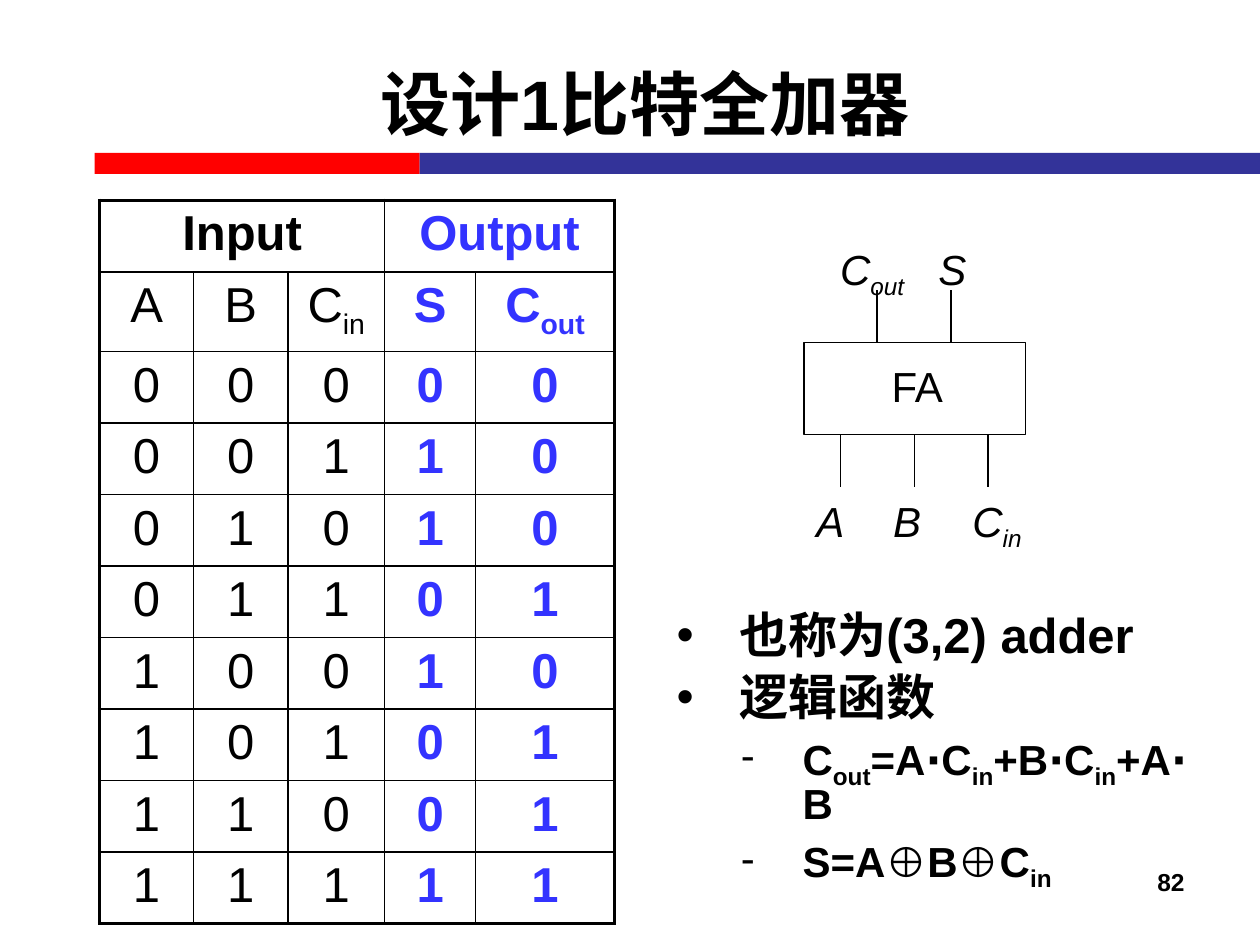
from dataclasses import dataclass

from lxml.etree import SubElement as add_element
from pptx import Presentation
from pptx.dml.color import RGBColor
from pptx.enum.shapes import MSO_CONNECTOR as Connector, MSO_SHAPE as Preset
from pptx.enum.text import MSO_ANCHOR as Anchor, MSO_AUTO_SIZE as AutoSize, PP_ALIGN as Align
from pptx.oxml import parse_xml
from pptx.oxml.ns import nsdecls, qn
from pptx.util import Pt


@dataclass(frozen=True)
class Theme:
    font: str = "Arial"
    black: RGBColor = RGBColor(0, 0, 0)
    red: RGBColor = RGBColor(0xFF, 0, 0)
    navy: RGBColor = RGBColor(0x33, 0x33, 0x99)
    blue: RGBColor = RGBColor(0x33, 0x33, 0xFF)
    title: float = 40
    large: float = 28
    medium: float = 24
    small: float = 14
    inner_border: float = 1
    outer_border: float = 2.25
    wire: float = 0.75


@dataclass(frozen=True)
class Style:
    size: float
    color: RGBColor
    bold: bool = False
    italic: bool = False


@dataclass(frozen=True)
class Box:
    left: float
    top: float
    width: float
    height: float

    def lengths(self) -> tuple:
        return Pt(self.left), Pt(self.top), Pt(self.width), Pt(self.height)


@dataclass(frozen=True)
class Label:
    text: str
    box: Box
    style: Style
    align: Align = Align.LEFT


@dataclass(frozen=True)
class Bullet:
    text: str
    level: int
    mark: str
    size: float
    left: float
    hanging: float
    before: float


THEME = Theme()
SIGNAL = Style(THEME.medium, THEME.black, italic=True)
INPUT = Style(THEME.large, THEME.black)
OUTPUT = Style(THEME.large, THEME.blue, bold=True)
HEADING = Style(THEME.large, THEME.black, bold=True)

ADDER = Box(459.4, 195.8, 126.7, 52.6)
PIN_STEP = 42.2
PIN_LENGTH = 30
INPUT_PINS = [480.2 + PIN_STEP * index for index in range(3)]
OUTPUT_PINS = [501.2 + PIN_STEP * index for index in range(2)]

LABELS = [
    Label("C_out", Box(473, 135.4, 85, 36), SIGNAL),
    Label("S", Box(529.2, 135.4, 43.2, 36), SIGNAL),
    Label("A", Box(459.4, 279.4, 56.2, 36), SIGNAL),
    Label("B", Box(503.3, 279.4, 61.2, 36), SIGNAL),
    Label("C_in", Box(548.6, 279.4, 51.1, 36), SIGNAL),
    Label("FA", Box(481.7, 202.3, 85, 36), Style(THEME.medium, THEME.black), Align.CENTER),
    Label("82", Box(516.2, 491.8, 167.8, 37.4), Style(THEME.small, THEME.black, bold=True), Align.RIGHT),
]

BULLETS = [
    Bullet("也称为(3,2) adder", 0, "•", THEME.large, 36, 36, 0),
    Bullet("逻辑函数", 0, "•", THEME.large, 36, 36, 7),
    Bullet("C_out=A⋅C_in+B⋅C_in+A⋅B", 1, "-", THEME.medium, 72, 35.3, 6),
    Bullet("S=A⊕B⊕C_in", 1, "-", THEME.medium, 72, 35.3, 6),
]


def split_subscripts(text: str) -> list[tuple[str, bool]]:
    first, *rest = text.split("_")
    parts = [(first, False)]
    for piece in rest:
        name = "out" if piece.startswith("out") else "in"
        parts += [(name, True), (piece[len(name):], False)]
    return [part for part in parts if part[0]]


def add_text(paragraph, text: str, style: Style) -> None:
    for part, lowered in split_subscripts(text):
        run = paragraph.add_run()
        run.text = part
        font = run.font
        font.name, font.size = THEME.font, Pt(style.size)
        font.bold, font.italic = style.bold, style.italic
        font.color.rgb = style.color
        if lowered:
            run._r.get_or_add_rPr().set("baseline", "-25000")


def place(shape, box: Box) -> None:
    shape.left, shape.top, shape.width, shape.height = box.lengths()


def draw_rectangle(slide, box: Box, fill: RGBColor | None) -> None:
    shape = slide.shapes.add_shape(Preset.RECTANGLE, *box.lengths())
    shape.shadow.inherit = False
    if fill is None:
        shape.fill.background()
        shape.line.color.rgb = THEME.black
        shape.line.width = Pt(THEME.wire)
    else:
        shape.fill.solid()
        shape.fill.fore_color.rgb = fill
        shape.line.fill.background()


def draw_pin(slide, x: float, top: float) -> None:
    pin = slide.shapes.add_connector(Connector.STRAIGHT, Pt(x), Pt(top), Pt(x), Pt(top + PIN_LENGTH))
    pin.line.color.rgb = THEME.black
    pin.line.width = Pt(THEME.wire)
    add_element(pin._element.spPr, qn("a:effectLst"))


def draw_label(slide, label: Label) -> None:
    frame = slide.shapes.add_textbox(*label.box.lengths()).text_frame
    frame.word_wrap = True
    paragraph = frame.paragraphs[0]
    paragraph.alignment = label.align
    add_text(paragraph, label.text, label.style)


def write_title(slide, text: str) -> None:
    title = slide.shapes.title
    place(title, Box(44.6, 13.7, 648, 90))
    frame = title.text_frame
    frame.auto_size = AutoSize.NONE
    frame.vertical_anchor = Anchor.MIDDLE
    frame.paragraphs[0].alignment = Align.CENTER
    add_text(frame.paragraphs[0], text, Style(THEME.title, THEME.black, bold=True))


def write_bullets(body, bullets: list[Bullet]) -> None:
    place(body, Box(379.4, 347, 323.3, 137.5))
    frame = body.text_frame
    frame.auto_size = AutoSize.NONE
    frame.vertical_anchor = Anchor.TOP
    for index, bullet in enumerate(bullets):
        paragraph = frame.add_paragraph() if index else frame.paragraphs[0]
        paragraph.level = bullet.level
        paragraph.line_spacing = 0.85
        paragraph.space_before = Pt(bullet.before)
        properties = paragraph._p.get_or_add_pPr()
        properties.set("marL", str(Pt(bullet.left)))
        properties.set("indent", str(-Pt(bullet.hanging)))
        color = add_element(properties, qn("a:buClr"))
        add_element(color, qn("a:srgbClr"), val=str(THEME.black))
        add_element(properties, qn("a:buFont"), typeface=THEME.font)
        add_element(properties, qn("a:buChar"), char=bullet.mark)
        add_text(paragraph, bullet.text, Style(bullet.size, THEME.black, bold=True))


def set_borders(cell, outer_sides: dict[str, bool]) -> None:
    properties = cell._tc.get_or_add_tcPr()
    for index, (side, outer) in enumerate(outer_sides.items()):
        width = Pt(THEME.outer_border if outer else THEME.inner_border)
        properties.insert(index, parse_xml(
            f'<a:ln{side} {nsdecls("a")} w="{width}"><a:solidFill>'
            f'<a:srgbClr val="{THEME.black}"/></a:solidFill></a:ln{side}>'))


def draw_truth_table(slide) -> None:
    bits = [(a, b, c, a ^ b ^ c, int(a + b + c > 1))
            for a in (0, 1) for b in (0, 1) for c in (0, 1)]
    rows = [("Input", "", "", "Output", ""), ("A", "B", "C_in", "S", "C_out"), *bits]
    widths = [53.8, 53.8, 55.4, 52, 79.3]
    heights = [40.9, 45.2] + [40.9] * len(bits)
    box = Box(56.9, 114.5, sum(widths), sum(heights))
    table = slide.shapes.add_table(len(rows), len(widths), *box.lengths()).table
    table.first_row = table.horz_banding = False
    for column, width in zip(table.columns, widths):
        column.width = Pt(width)
    for row, height in zip(table.rows, heights):
        row.height = Pt(height)
    table.cell(0, 0).merge(table.cell(0, 2))
    table.cell(0, 3).merge(table.cell(0, 4))
    for y, values in enumerate(rows):
        for x, value in enumerate(values):
            cell = table.cell(y, x)
            if cell.is_spanned:
                continue
            last_column = x + (cell.span_width if cell.is_merge_origin else 1)
            cell.fill.background()
            set_borders(cell, {"L": x == 0, "R": last_column == len(widths),
                               "T": y == 0, "B": y == len(rows) - 1})
            paragraph = cell.text_frame.paragraphs[0]
            paragraph.alignment = Align.CENTER
            input_style = HEADING if y == 0 else INPUT
            add_text(paragraph, str(value), OUTPUT if x > 2 else input_style)


def main() -> None:
    presentation = Presentation()
    presentation.slide_width, presentation.slide_height = Pt(720), Pt(540)
    slide = presentation.slides.add_slide(presentation.slide_layouts[1])
    draw_rectangle(slide, Box(54, 87.4, 185.8, 12), THEME.red)
    draw_rectangle(slide, Box(239.8, 87.4, 480.2, 12), THEME.navy)
    write_title(slide, "设计1比特全加器")
    draw_rectangle(slide, ADDER, None)
    for x in INPUT_PINS:
        draw_pin(slide, x, ADDER.top + ADDER.height)
    for x in OUTPUT_PINS:
        draw_pin(slide, x, ADDER.top - PIN_LENGTH)
    for label in LABELS:
        draw_label(slide, label)
    draw_truth_table(slide)
    write_bullets(slide.placeholders[1], BULLETS)
    presentation.save("out.pptx")


if __name__ == "__main__":
    main()
